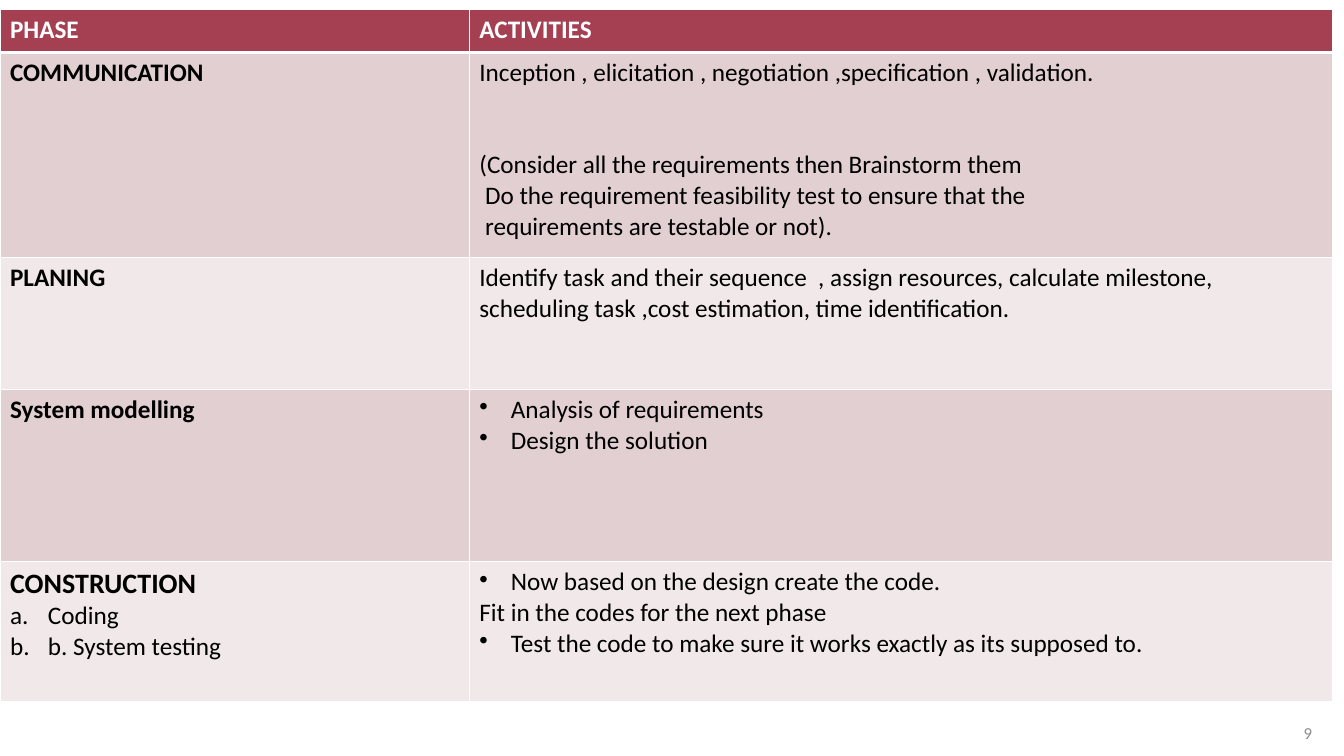
from lxml.etree import SubElement
from pptx import Presentation
from pptx.dml.color import RGBColor
from pptx.enum.text import MSO_ANCHOR, PP_ALIGN
from pptx.oxml.ns import qn
from pptx.util import Emu, Pt

PX = 9525
FONT = "Calibri"
WHITE = RGBColor(0xFF, 0xFF, 0xFF)
BLACK = RGBColor(0x00, 0x00, 0x00)
GREY = RGBColor(0x8C, 0x8C, 0x8C)
CRIMSON = RGBColor(0xA5, 0x3F, 0x52)
ROSE = RGBColor(0xE1, 0xCF, 0xD1)
PALE_ROSE = RGBColor(0xF0, 0xE8, 0xE9)

DOT = dict(marker=("a:buChar", "char", "•"), indent=30)
LETTER = dict(marker=("a:buAutoNum", "type", "alphaLcPeriod"), indent=36)
BOLD = dict(bold=True)
HEADER = dict(bold=True, color=WHITE)


def write(paragraph, text, size=18, bold=False, color=BLACK, marker=None,
          indent=0, before=0, align=PP_ALIGN.LEFT):
    if marker:
        tag, attribute, value = marker
        properties = paragraph._p.get_or_add_pPr()
        properties.set("marL", str(indent * PX))
        properties.set("indent", str(-indent * PX))
        SubElement(properties, qn(tag)).set(attribute, value)
    paragraph.alignment = align
    if before:
        paragraph.space_before = Pt(before)
    run = paragraph.add_run()
    run.text = text
    run.font.name = FONT
    run.font.size = Pt(size)
    run.font.bold = bold
    run.font.color.rgb = color


def add_border(cell, side, points):
    line = SubElement(cell._tc.get_or_add_tcPr(), qn(f"a:ln{side}"), w=str(Pt(points)))
    fill = SubElement(line, qn("a:solidFill"))
    SubElement(fill, qn("a:srgbClr"), val=str(WHITE))


# Each row: height, fill, then the paragraphs of its phase and activities
ROWS = [
    (41, CRIMSON, [("PHASE", HEADER)], [("ACTIVITIES", HEADER)]),
    (195, ROSE, [("COMMUNICATION", BOLD)], [
        ("Inception , elicitation , negotiation ,specification , validation.", {}),
        ("(Consider all the requirements then Brainstorm them", dict(before=44)),
        (" Do the requirement feasibility test to ensure that the", {}),
        (" requirements are testable or not).", {}),
    ]),
    (126, PALE_ROSE, [("PLANING", BOLD)], [
        ("Identify task and their sequence  , assign resources, calculate milestone, "
         "scheduling task ,cost estimation, time identification.", {}),
    ]),
    (164, ROSE, [("System modelling", BOLD)], [
        ("Analysis of requirements", DOT),
        ("Design the solution", DOT),
    ]),
    (133, PALE_ROSE, [
        ("CONSTRUCTION", dict(bold=True, size=20)),
        ("Coding", LETTER),
        ("b. System testing", LETTER),
    ], [
        ("Now based on the design create the code.", DOT),
        ("Fit in the codes for the next phase", {}),
        ("Test the code to make sure it works exactly as its supposed to.", DOT),
    ]),
]
COLUMN_WIDTHS = [447, 822]

presentation = Presentation()
presentation.slide_width = Emu(1280 * PX)
presentation.slide_height = Emu(720 * PX)
slide = presentation.slides.add_slide(presentation.slide_layouts[6])

phases = slide.shapes.add_table(
    len(ROWS), len(COLUMN_WIDTHS), 0, Emu(9 * PX),
    Emu(sum(COLUMN_WIDTHS) * PX), Emu(sum(row[0] for row in ROWS) * PX)).table
for column, width in zip(phases.columns, COLUMN_WIDTHS):
    column.width = Emu(width * PX)

for row_index, (height, row_fill, *contents) in enumerate(ROWS):
    phases.rows[row_index].height = Emu(height * PX)
    for column_index, content in enumerate(contents):
        cell = phases.cell(row_index, column_index)
        top = 3 if row_index == 1 else 1
        bottom = 3 if row_index == 0 else 1
        for side, points in (("L", 1), ("R", 1), ("T", top), ("B", bottom)):
            add_border(cell, side, points)
        cell.fill.solid()
        cell.fill.fore_color.rgb = row_fill
        frame = cell.text_frame
        for number, (text, style) in enumerate(content):
            paragraph = frame.add_paragraph() if number else frame.paragraphs[0]
            write(paragraph, text, **style)

page_number = slide.shapes.add_textbox(
    Emu(1212 * PX), Emu(679 * PX), Emu(47 * PX), Emu(38 * PX)).text_frame
page_number.word_wrap = True
page_number.vertical_anchor = MSO_ANCHOR.MIDDLE
write(page_number.paragraphs[0], "9", size=12, color=GREY, align=PP_ALIGN.RIGHT)

presentation.save("out.pptx")
